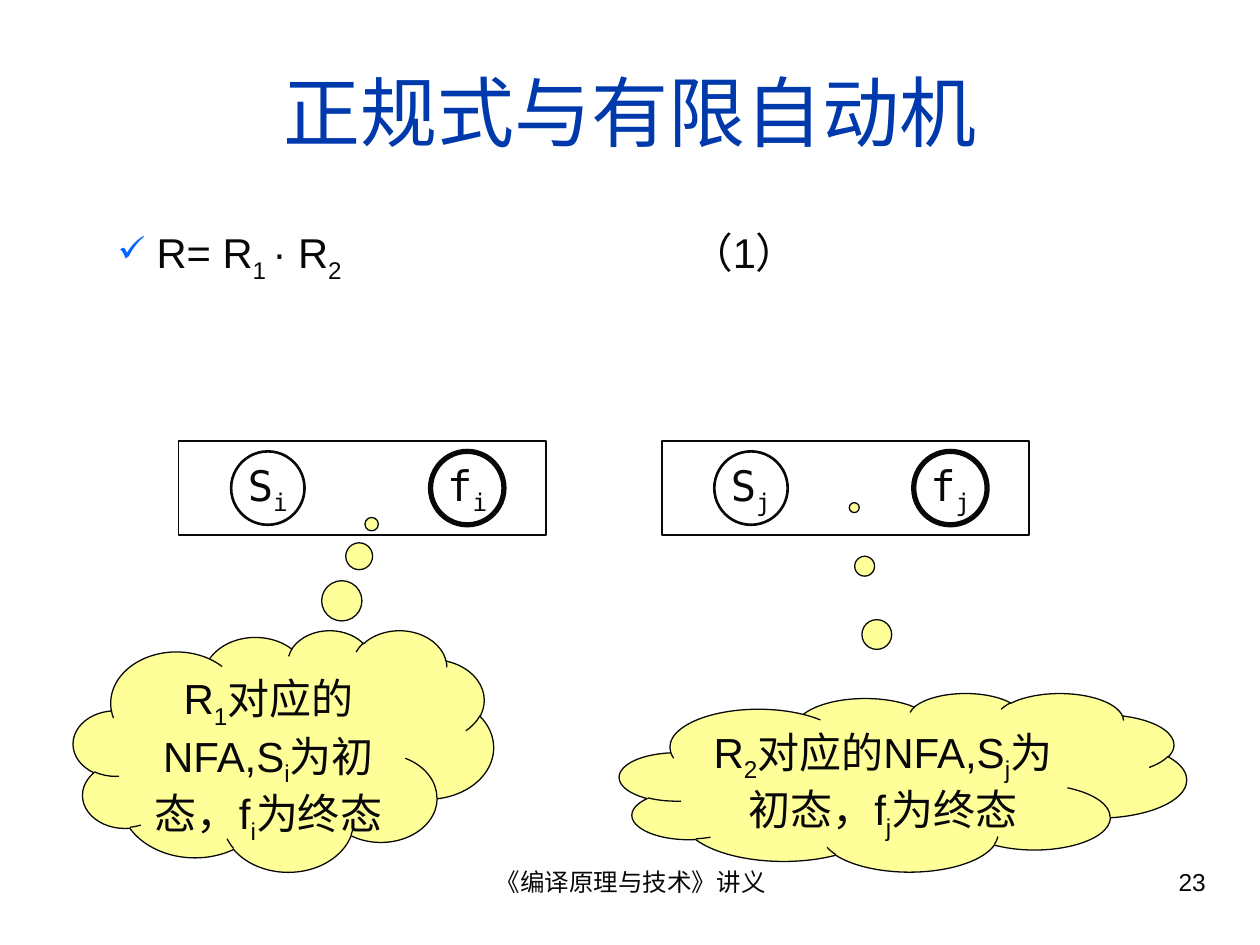
from lxml import etree
from pptx import Presentation
from pptx.dml.color import RGBColor
from pptx.enum.shapes import MSO_SHAPE
from pptx.enum.text import MSO_ANCHOR, PP_ALIGN
from pptx.oxml.ns import qn
from pptx.util import Cm, Pt

RECT, ELLIPSE, CLOUD = MSO_SHAPE.RECTANGLE, MSO_SHAPE.OVAL, MSO_SHAPE.CLOUD_CALLOUT
LEFT, CENTER, RIGHT = PP_ALIGN.LEFT, PP_ALIGN.CENTER, PP_ALIGN.RIGHT
TOP, MIDDLE = MSO_ANCHOR.TOP, MSO_ANCHOR.MIDDLE
INK, BLUE, CHECK_BLUE, YELLOW = "080808", "0039AC", "0066FF", "FFFF99"
SANS, MONO = "Arial", "DejaVu Sans Mono"

# Content: in each list of pieces, every second one is a subscript
# Boxes are left, top, width, height in cm
CAPTIONS = [
    (["《编译原理与技术》讲义"], (8.69, 17.35, 8.05, 1.32), 14, INK, CENTER, TOP),
    (["23"], (18.21, 17.35, 6.35, 1.32), 14, INK, RIGHT, TOP),
    (["正规式与有限自动机"], (0.85, 0.64, 23.7, 3.18), 44, BLUE, CENTER, MIDDLE),
]
FORMULA = ["R= R", "1 ", "· R", "2\t\t\t ", "（1）"]
FORMULA_BOX = (0.85, 4.45, 23.7, 1.47)

AUTOMATA = [  # left edge, state index
    (3.6, "i"),
    (13.34, "j"),
]
AUTOMATON_TOP, AUTOMATON_WIDTH, AUTOMATON_HEIGHT = 8.89, 7.41, 1.9
STATE_SIZE = 1.48
STATES = [("S", 1.06, 1.5), ("f", 5.08, 3)]  # letter, offset, line width

CLOUDS = [  # expression number, state index, box, callout tip
    ("1", "i", (1.48, 12.7, 8.47, 4.87), (0.21, -0.938)),
    ("2", "j", (12.49, 13.97, 11.43, 3.6), (-0.086, -1.538)),
]


def color(value):
    return RGBColor.from_string(value)


def set_attributes(target, values):
    for name, value in values.items():
        setattr(target, name, value)


def write(shape, pieces, size=24, ink=INK, font=SANS, align=CENTER,
          anchor=TOP, wrap=True):
    frame = shape.text_frame
    set_attributes(frame, {
        "word_wrap": wrap, "vertical_anchor": anchor,
        "margin_left": Cm(0.25), "margin_right": Cm(0.25),
        "margin_top": Cm(0.13), "margin_bottom": Cm(0.13),
    })
    paragraph = frame.paragraphs[0]
    paragraph.alignment = align
    for number, piece in enumerate(pieces):
        run = paragraph.add_run()
        run.text = piece
        set_attributes(run.font, {"size": Pt(size), "name": font})
        run.font.color.rgb = color(ink)
        if number % 2:
            run._r.get_or_add_rPr().set("baseline", "-25000")
    return paragraph


def add_outline(shapes, kind, box, width, fill=None):
    shape = shapes.add_shape(kind, *map(Cm, box))
    shape.shadow.inherit = False
    if fill:
        shape.fill.solid()
        shape.fill.fore_color.rgb = color(fill)
    else:
        shape.fill.background()
    shape.line.color.rgb = color(INK)
    shape.line.width = Pt(width)
    return shape


def add_check_bullet(paragraph):
    props = paragraph._p.get_or_add_pPr()
    props.set("marL", str(Cm(2.06)))
    props.set("indent", str(Cm(-0.79)))
    bullet_color = etree.SubElement(props, qn("a:buClr"))
    etree.SubElement(bullet_color, qn("a:srgbClr"), val=CHECK_BLUE)
    etree.SubElement(props, qn("a:buSzPct"), val="85000")
    etree.SubElement(props, qn("a:buChar"), char="✓")
    tabs = etree.SubElement(props, qn("a:tabLst"))
    for stop in range(1, 9):
        etree.SubElement(tabs, qn("a:tab"), pos=str(Cm(2.54 * stop)), algn="l")


def main():
    deck = Presentation()
    deck.slide_width, deck.slide_height = Cm(25.4), Cm(19.05)
    shapes = deck.slides.add_slide(deck.slide_layouts[6]).shapes

    # Footer, page number and title
    for pieces, box, size, ink, align, anchor in CAPTIONS:
        write(shapes.add_textbox(*map(Cm, box)), pieces, size, ink,
              align=align, anchor=anchor)

    # Formula with check mark
    formula = shapes.add_textbox(*map(Cm, FORMULA_BOX))
    add_check_bullet(write(formula, FORMULA, 23.8, align=LEFT))

    # Automata: a frame around a start and a final state
    state_top = AUTOMATON_TOP + (AUTOMATON_HEIGHT - STATE_SIZE) / 2
    for left, index in AUTOMATA:
        automaton = shapes.add_group_shape().shapes
        add_outline(automaton, RECT,
                    (left, AUTOMATON_TOP, AUTOMATON_WIDTH, AUTOMATON_HEIGHT), 1)
        for letter, offset, width in STATES:
            state = add_outline(
                automaton, ELLIPSE,
                (left + offset, state_top, STATE_SIZE, STATE_SIZE), width)
            write(state, [letter, index], font=MONO, anchor=MIDDLE, wrap=False)

    # Cloud explanations
    for number, index, box, tip in CLOUDS:
        cloud = add_outline(shapes, CLOUD, box, 0.75, YELLOW)
        for position, value in enumerate(tip):
            cloud.adjustments[position] = value
        write(cloud, ["R", number, "对应的NFA,S", index, "为初态，f", index, "为终态"])

    deck.save("out.pptx")


if __name__ == "__main__":
    main()
